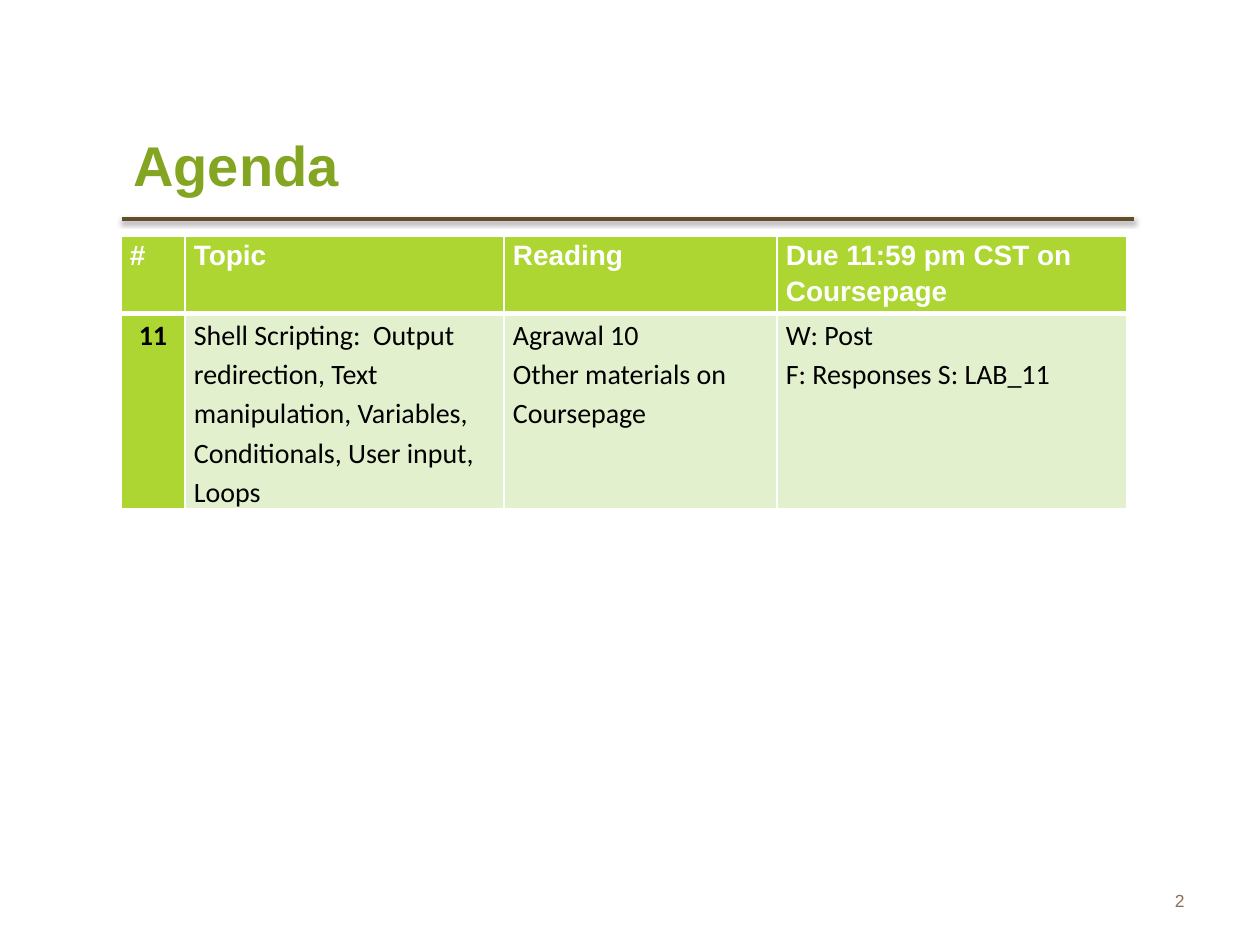
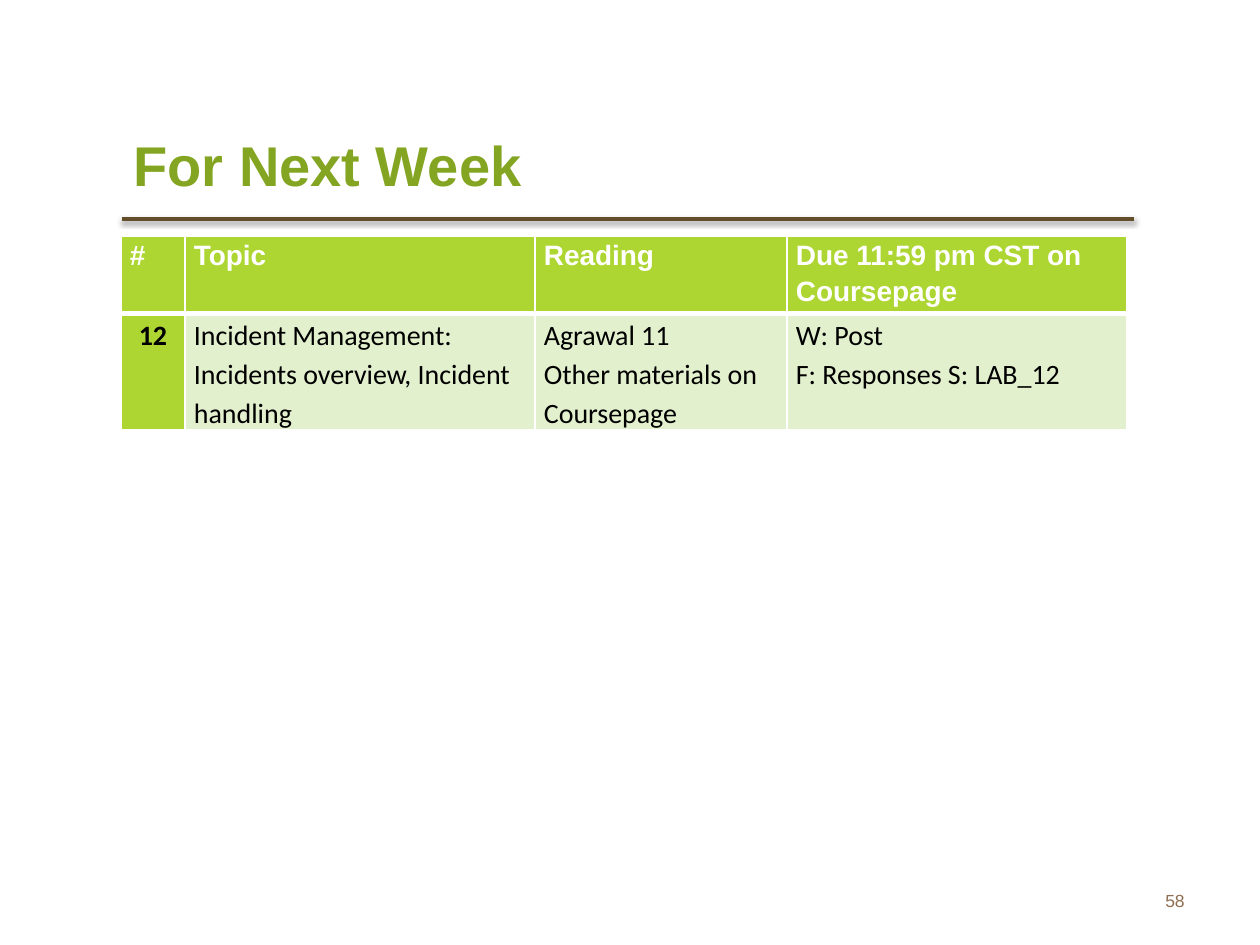
"""Build the two course schedule slides."""
from dataclasses import dataclass

from lxml.etree import SubElement
from pptx import Presentation
from pptx.dml.color import RGBColor
from pptx.enum.shapes import MSO_CONNECTOR as Connector
from pptx.enum.text import MSO_ANCHOR as Anchor, PP_ALIGN as Align
from pptx.oxml import parse_xml
from pptx.oxml.ns import nsdecls, qn
from pptx.util import Emu, Pt

PX_PER_INCH = 126
GREEN, LIME, PALE = "84A521", "ADD632", "E3F0CE"
BROWN, TAN, WHITE, BLACK = "634D2A", "8F6F52", "FFFFFF", "000000"
HEADING_FONT, BODY_FONT = "Arial", "Calibri"
HEADERS = ("#", "Topic", "Reading", "Due 11:59 pm CST on Coursepage")
HEADER_HEIGHT = 71
CELL_MARGIN = 9


@dataclass(frozen=True)
class Area:
    left: int
    top: int
    width: int
    height: int


@dataclass(frozen=True)
class TextStyle:
    font: str
    size: int
    color: str
    bold: bool = False
    align: Align = Align.LEFT


@dataclass(frozen=True)
class Week:
    title: str
    page_number: int
    lesson: int
    topic: str
    columns: tuple[int, ...]
    row_height: int

    def cells(self) -> tuple[str, ...]:
        return (
            str(self.lesson),
            self.topic,
            f"Agrawal {self.lesson - 1}\nOther materials on Coursepage",
            f"W: Post\nF: Responses S: LAB_{self.lesson}",
        )


TITLE_AREA = Area(121, 108, 727, 113)
NUMBER_AREA = Area(903, 876, 294, 50)
TITLE_STYLE = TextStyle(HEADING_FONT, 32, GREEN, True)
NUMBER_STYLE = TextStyle(HEADING_FONT, 10, TAN, align=Align.RIGHT)
HEADER_STYLE = TextStyle(HEADING_FONT, 16, WHITE, True)
LESSON_STYLE = TextStyle(BODY_FONT, 16, BLACK, True, Align.CENTER)
BODY_STYLE = TextStyle(BODY_FONT, 16, BLACK)

WEEKS = (
    Week("Agenda", 2, 11,
         "Shell Scripting:  Output redirection, Text manipulation, "
         "Variables, Conditionals, User input, Loops",
         (64, 319, 273, 350), 196),
    Week("For Next Week", 58, 12,
         "Incident Management:  Incidents overview, Incident handling",
         (64, 350, 252, 340), 117),
)


def px(length: int) -> Emu:
    return Emu(round(length * 914400 / PX_PER_INCH))


def rgb(color: str) -> RGBColor:
    return RGBColor.from_string(color)


def write(frame, text: str, style: TextStyle, spacing: float = 1.0) -> None:
    frame.text = text
    frame.word_wrap = True
    for para in frame.paragraphs:
        para.alignment = style.align
        para.line_spacing = spacing
        for span in para.runs:
            span.font.name = style.font
            span.font.size = Pt(style.size)
            span.font.bold = style.bold
            span.font.color.rgb = rgb(style.color)


def add_text(page, area: Area, text: str, style: TextStyle) -> None:
    box = page.shapes.add_textbox(px(area.left), px(area.top),
                                  px(area.width), px(area.height))
    box.text_frame.vertical_anchor = Anchor.MIDDLE
    write(box.text_frame, text, style)


def add_rule(page) -> None:
    rule = page.shapes.add_connector(Connector.STRAIGHT, px(122), px(219),
                                     px(1134), px(219))
    rule.line.color.rgb = rgb(BROWN)
    rule.line.width = Pt(2)
    effects = SubElement(rule.element.spPr, qn("a:effectLst"))
    effects.append(parse_xml(
        f'<a:outerShdw {nsdecls("a")} blurRad="{Pt(3.1)}" dist="{Pt(1.6)}" '
        f'dir="5400000" rotWithShape="0"><a:srgbClr val="{BLACK}">'
        '<a:alpha val="38000"/></a:srgbClr></a:outerShdw>'))


def add_borders(cell, top: int, bottom: int) -> None:
    properties = cell._tc.get_or_add_tcPr()
    edges = (("L", 1), ("R", 1), ("T", top), ("B", bottom))
    for index, (side, width) in enumerate(edges):
        properties.insert(index, parse_xml(
            f'<a:ln{side} {nsdecls("a")} w="{Pt(width)}"><a:solidFill>'
            f'<a:srgbClr val="{WHITE}"/></a:solidFill></a:ln{side}>'))


def fill_cell(cell, text: str, style: TextStyle, fill: str) -> None:
    cell.margin_left = cell.margin_right = px(CELL_MARGIN)
    cell.margin_top = cell.margin_bottom = 0
    cell.fill.solid()
    cell.fill.fore_color.rgb = rgb(fill)
    write(cell.text_frame, text, style, 1.15)


def add_schedule(page, week: Week) -> None:
    heights = (HEADER_HEIGHT, week.row_height)
    table = page.shapes.add_table(
        2, len(HEADERS), px(121), px(236),
        px(sum(week.columns)), px(sum(heights))).table
    table.horz_banding = False
    for row, height in zip(table.rows, heights):
        row.height = px(height)
    for index, (header, text) in enumerate(zip(HEADERS, week.cells())):
        table.columns[index].width = px(week.columns[index])
        top_cell, body_cell = table.cell(0, index), table.cell(1, index)
        fill_cell(top_cell, header, HEADER_STYLE, LIME)
        add_borders(top_cell, 1, 3)
        style, fill = (BODY_STYLE, PALE) if index else (LESSON_STYLE, LIME)
        fill_cell(body_cell, text, style, fill)
        add_borders(body_cell, 3, 1)


def add_week(deck, week: Week) -> None:
    page = deck.slides.add_slide(deck.slide_layouts[6])
    add_rule(page)
    add_text(page, NUMBER_AREA, str(week.page_number), NUMBER_STYLE)
    add_text(page, TITLE_AREA, week.title, TITLE_STYLE)
    add_schedule(page, week)


def main() -> None:
    deck = Presentation()
    deck.slide_width, deck.slide_height = px(1260), px(945)
    for week in WEEKS:
        add_week(deck, week)
    deck.save("out.pptx")


if __name__ == "__main__":
    main()
